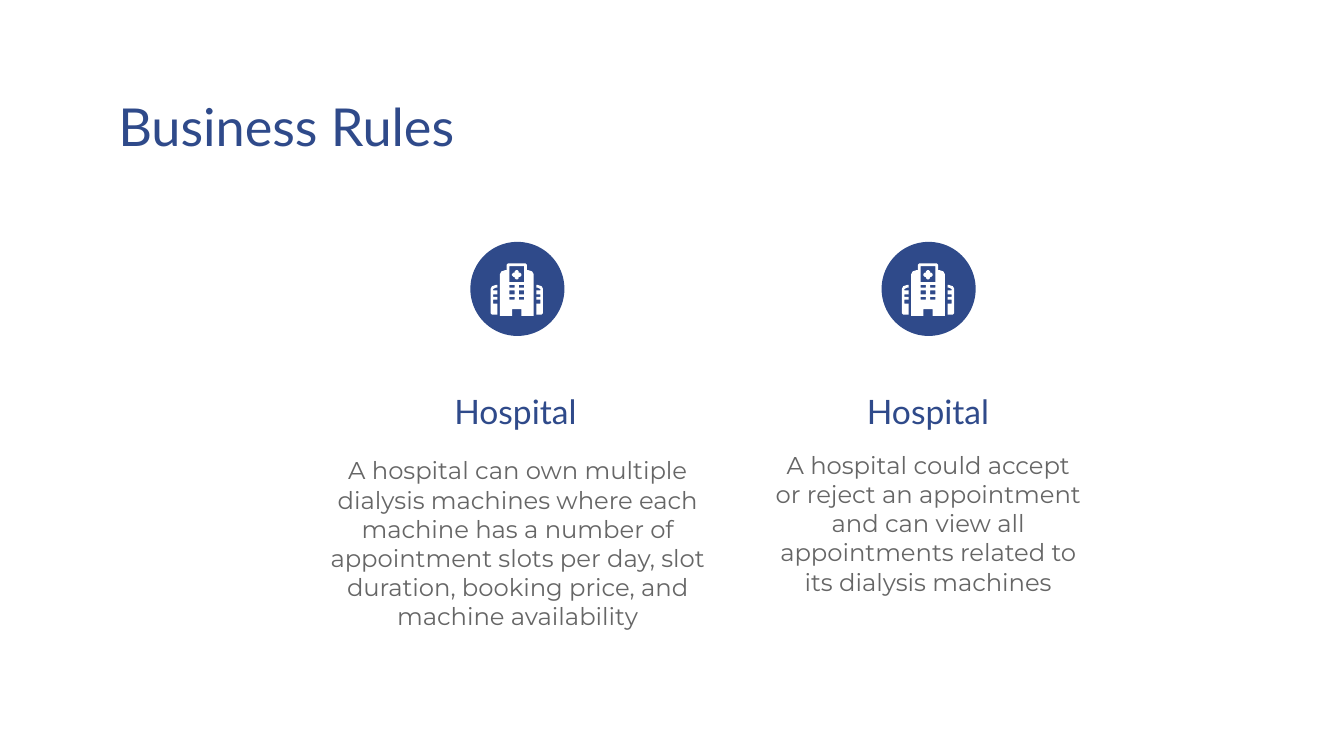
"""Build the Business Rules slide with two hospital rules."""
from dataclasses import dataclass

from pptx import Presentation
from pptx.dml.color import RGBColor
from pptx.enum.shapes import MSO_SHAPE
from pptx.enum.text import MSO_ANCHOR, MSO_AUTO_SIZE, PP_ALIGN
from pptx.util import Inches, Pt

NAVY, GRAY, WHITE = "2F4A8A", "666666", "FFFFFF"
SPAN = 39
UNIT = Inches(0.01)


@dataclass
class Style:
    font: str
    size: int
    color: str
    align: PP_ALIGN = PP_ALIGN.CENTER
    after: int = 0


@dataclass
class Rule:
    left: float
    badge: float
    name: str
    text: str
    box: tuple


TITLE = Style("Lato", 28, NAVY, PP_ALIGN.LEFT)
HEAD = Style("Lato", 18, NAVY)
BODY = Style("Montserrat", 13, GRAY, after=12)

RULES = [
    Rule(2.59, 3.5, "Hospital",
         "A hospital can own multiple dialysis machines where each machine has "
         "a number of appointment slots per day, slot duration, booking price, "
         "and machine availability", (2.34, 3.29, 3.02, 0.84)),
    Rule(5.66, 6.56, "Hospital",
         "A hospital could accept or reject an appointment and can view all "
         "appointments related to its dialysis machines",
         (5.66, 3.25, 2.49, 0.84)),
]

WING = [(4, 16), (1, 17), (0, 19), (0, 37), (1, 38), (5, 38), (5, 30),
        (2, 30), (2, 27), (5, 27), (5, 25), (2, 25), (2, 23), (5, 23),
        (5, 20), (2, 20), (2, 19), (4, 18), (5, 18), (5, 16)]
TOWER = [(13, 0), (12, 1), (12, 5), (11, 5), (8, 6), (7, 8), (7, 39),
         (16, 39), (16, 34)]
CROSS = [(19, 5), (18, 6), (18, 7), (17, 7), (16, 8), (16, 9), (17, 10),
         (18, 10), (18, 11), (19, 12)]


def paint(shape, color: str) -> None:
    """Give a shape a plain fill with no line or shadow."""
    shape.fill.solid()
    shape.fill.fore_color.rgb = RGBColor.from_string(color)
    shape.line.fill.background()
    shape.shadow.inherit = False


def write(shape, text: str, style: Style) -> None:
    """Fill a box with one styled paragraph."""
    frame = shape.text_frame
    frame.word_wrap = True
    frame.auto_size = MSO_AUTO_SIZE.NONE
    frame.vertical_anchor = MSO_ANCHOR.TOP
    frame.margin_left = frame.margin_right = Inches(0.1)
    frame.margin_top = frame.margin_bottom = Inches(0.1)
    para = frame.paragraphs[0]
    para.alignment = style.align
    para.space_before, para.space_after = Pt(0), Pt(style.after)
    run = para.add_run()
    run.text = text
    run.font.name, run.font.size = style.font, Pt(style.size)
    run.font.color.rgb = RGBColor.from_string(style.color)


def label(slide, box: tuple, text: str, style: Style) -> None:
    """Add a text box."""
    write(slide.shapes.add_textbox(*map(Inches, box)), text, style)


def flip(points: list) -> list:
    """Mirror points across the icon, in reverse order."""
    return [(SPAN - x, y) for x, y in reversed(points)]


def block(left: int, top: int, right: int, base: int) -> list:
    """Return the corners of a rectangle."""
    return [(left, top), (right, top), (right, base), (left, base)]


def trace(shapes, left: float, top: float, loops: list) -> None:
    """Draw closed loops as one white outline."""
    pen = shapes.build_freeform(*loops[0][0], scale=UNIT)
    for index, loop in enumerate(loops):
        if index:
            pen.move_to(*loop[0])
        pen.add_line_segments(loop[1:], close=True)
    paint(pen.convert_to_shape(Inches(left), Inches(top)), WHITE)


def icon(slide, left: float, top: float) -> None:
    """Draw a hospital on a round badge."""
    size = Inches(0.7)
    badge = slide.shapes.add_shape(
        MSO_SHAPE.OVAL, Inches(left), Inches(top), size, size)
    paint(badge, NAVY)
    panes = [block(x, y, x + 4, base)
             for y, base in ((16, 18), (20, 23), (25, 27)) for x in (14, 21)]
    tower = [TOWER + flip(TOWER), block(14, 2, 25, 14), *panes]
    group = slide.shapes.add_group_shape()
    for loops in ([CROSS + flip(CROSS)], [WING], [flip(WING)], tower):
        trace(group.shapes, left + 0.15, top + 0.16, loops)


def main() -> None:
    """Build and save the slide."""
    deck = Presentation()
    deck.slide_width = Inches(10)
    deck.slide_height = deck.slide_width * 9 // 16
    slide = deck.slides.add_slide(deck.slide_layouts[5])
    title = slide.shapes.title
    title.left, title.top = Inches(0.78), Inches(0.6)
    title.width, title.height = Inches(8.44), Inches(0.51)
    write(title, "Business Rules", TITLE)
    for rule in RULES:
        label(slide, (rule.left, 2.81, 2.49, 0.51), rule.name, HEAD)
        label(slide, rule.box, rule.text, BODY)
        icon(slide, rule.badge, 1.8)
    deck.save("out.pptx")


if __name__ == "__main__":
    main()
